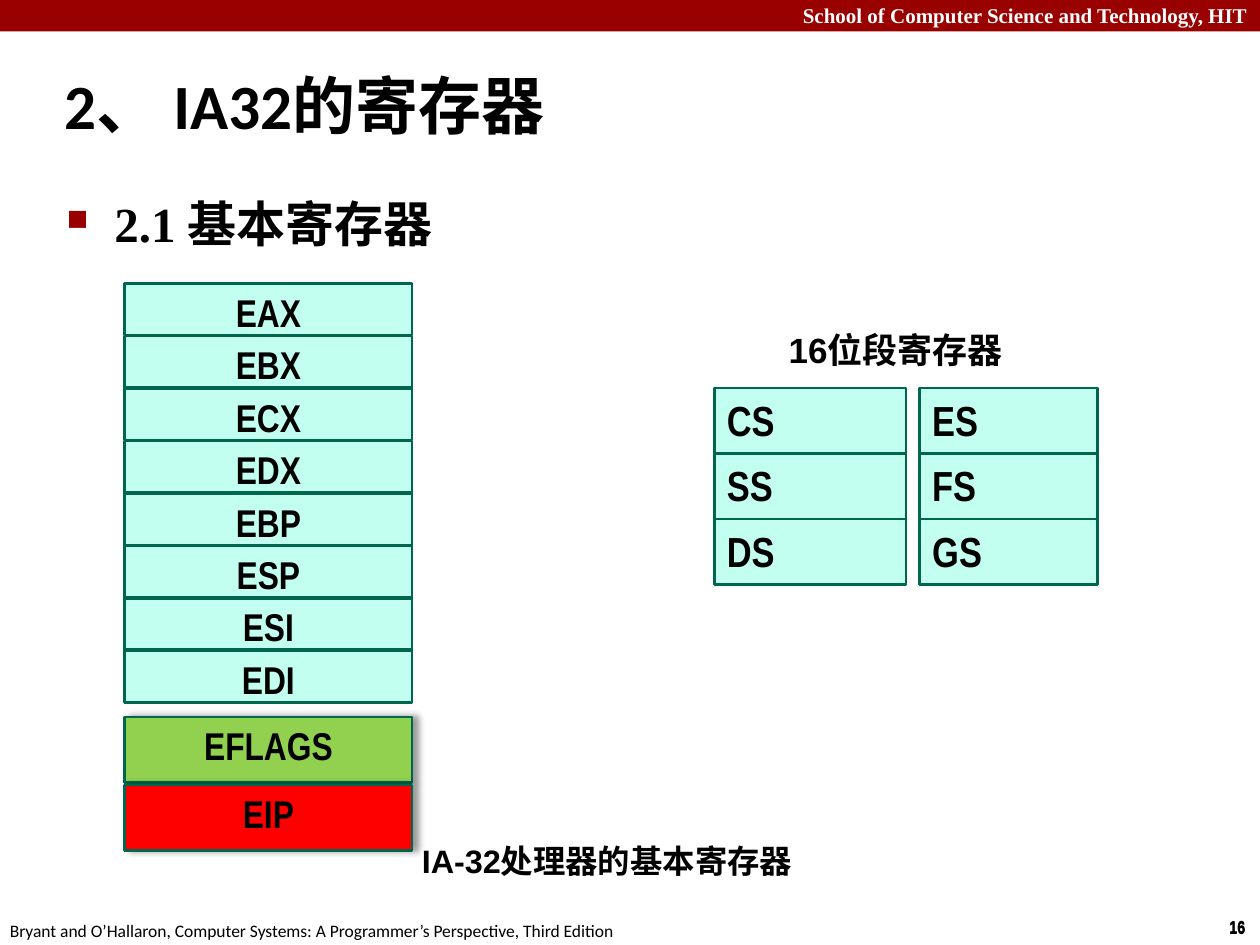
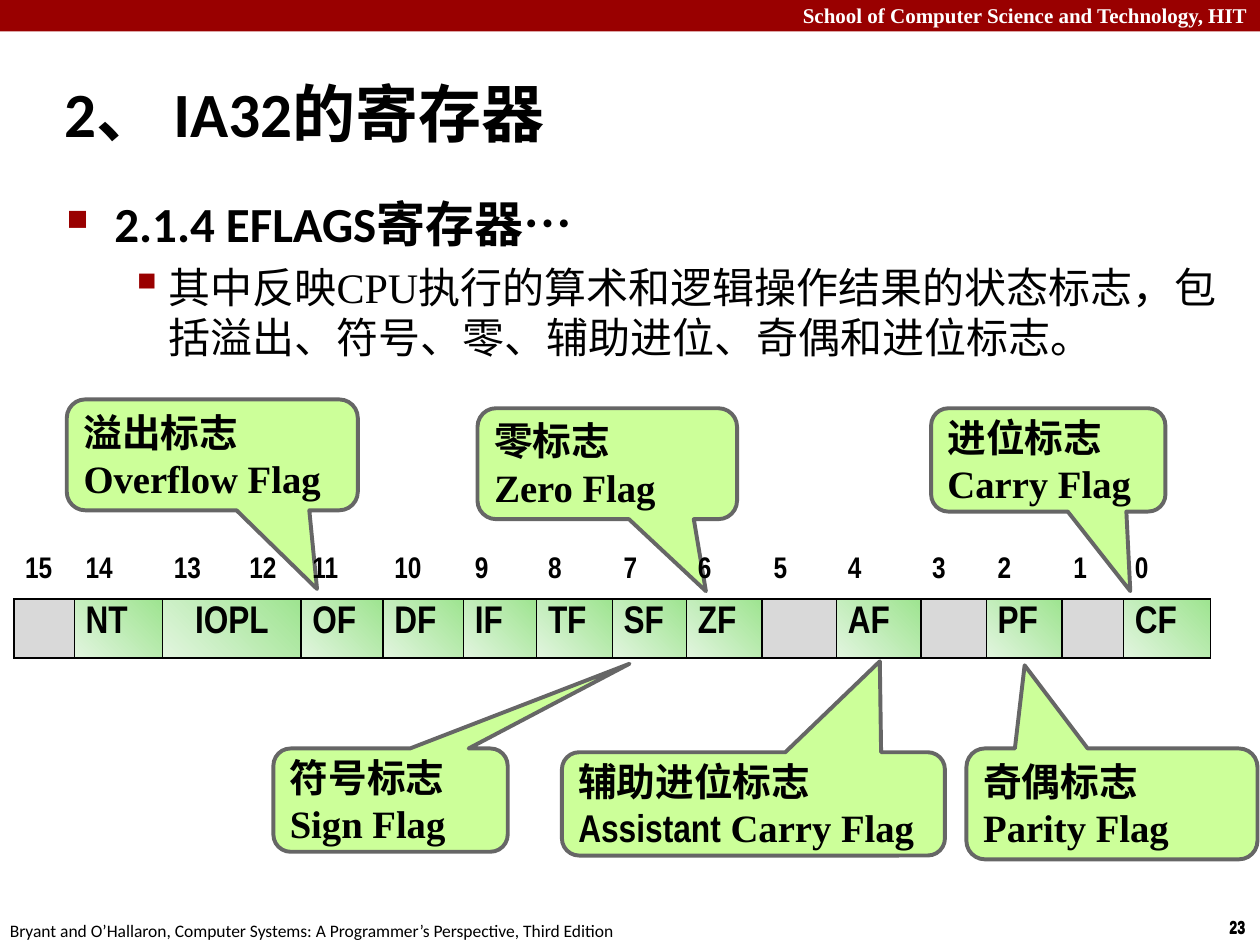
"""Build two slides on the IA32 registers and the EFLAGS bits."""
from lxml.etree import SubElement as Sub
from pptx import Presentation
from pptx.dml.color import RGBColor
from pptx.enum.shapes import MSO_SHAPE as Kind
from pptx.enum.text import MSO_ANCHOR as Anchor, MSO_AUTO_SIZE as Auto, PP_ALIGN as Align
from pptx.oxml.ns import qn
from pptx.util import Inches, Pt

RED = RGBColor(0x99, 0x00, 0x00)
BLACK = RGBColor(0x00, 0x00, 0x00)
WHITE = RGBColor(0xFF, 0xFF, 0xFF)
MINT = RGBColor(0xC2, 0xFF, 0xF0)
TEAL = RGBColor(0x00, 0x66, 0x4D)
GREEN = RGBColor(0x92, 0xD0, 0x50)
BRIGHT = RGBColor(0xFF, 0x00, 0x00)
LIME = RGBColor(0xCC, 0xFF, 0x99)
GREY = RGBColor(0x66, 0x66, 0x66)
PALE = RGBColor(0xD9, 0xD9, 0xD9)
LEAF = RGBColor(0x9E, 0xE4, 0x90)
MIST = RGBColor(0xE2, 0xF5, 0xDF)
SERIF, SANS, NARROW, PLAIN = "Times New Roman", "Calibri", "Arial Narrow", "Arial"


def write(para, text, size, name, bold=True, color=BLACK, align=Align.LEFT):
    """Add one run of formatted text to a paragraph."""
    para.alignment = align
    run = para.add_run()
    run.text = text
    for key, value in {"size": Pt(size), "name": name, "bold": bold}.items():
        setattr(run.font, key, value)
    run.font.color.rgb = color


def put(slide, at, kind=None, fill=None, line=None, width=1.5, pad=(0.1, 0.05), anchor=Anchor.TOP):
    """Add a text box, or a filled shape when a kind is given."""
    spot = [Inches(n) for n in at]
    if kind is None:
        shape = slide.shapes.add_textbox(*spot)
    else:
        shape = slide.shapes.add_shape(kind, *spot)
        shape.shadow.inherit = False
        shape.fill.solid()
        shape.fill.fore_color.rgb = fill
        if line is None:
            shape.line.fill.background()
        else:
            shape.line.color.rgb = line
            shape.line.width = Pt(width)
    side, top = (Inches(n) for n in pad)
    look = {"word_wrap": True, "vertical_anchor": anchor, "margin_left": side,
            "margin_right": side, "margin_top": top, "margin_bottom": top}
    for key, value in look.items():
        setattr(shape.text_frame, key, value)
    return shape


deck = Presentation()
deck.slide_width, deck.slide_height = Inches(10), Inches(7.5)

pages = [
    ("16", Anchor.MIDDLE, [("2.1 基本寄存器", 28, SERIF, True)]),
    ("23", Anchor.BOTTOM, [
        ("2.1.4 EFLAGS寄存器…", 28, SANS, True),
        ("其中反映CPU执行的算术和逻辑操作结果的状态标志，"
         "包括溢出、符号、零、辅助进位、奇偶和进位标志。", 24, SERIF, False)]),
]
bullets = [(0.38, -0.38, "■", 60), (0.81, -0.31, "▪", 110)]

for number, anchor, points in pages:
    slide = deck.slides.add_slide(deck.slide_layouts[5])
    put(slide, (0, 0, 10, 0.25), Kind.RECTANGLE, RED)
    school = put(slide, (0, -0.03, 10, 0.3))
    write(school.text_frame.paragraphs[0], "School of Computer Science and Technology, HIT",
          12, SERIF, color=WHITE, align=Align.RIGHT)
    for top in (7.23, 7.22):
        mark = put(slide, (9.66, top, 0.34, 0.27))
        write(mark.text_frame.paragraphs[0], number, 10, NARROW)
    book = put(slide, (-0.02, 7.25, 5.08, 0.27))
    write(book.text_frame.paragraphs[0],
          "Bryant and O’Hallaron, Computer Systems: A Programmer’s Perspective, Third Edition",
          10, SANS, bold=False)

    title = slide.shapes.title
    title.left, title.top, title.width, title.height = map(Inches, (0.41, 0.41, 9.58, 0.83))
    title.text_frame.auto_size = Auto.NONE
    title.text_frame.vertical_anchor = anchor
    write(title.text_frame.paragraphs[0], "2、 IA32的寄存器", 36, SANS)

    body = put(slide, (0.43, 1.49, 9.4, 5.76)).text_frame
    for level, (text, size, name, bold) in enumerate(points):
        para = body.add_paragraph() if level else body.paragraphs[0]
        para.level = level
        para.space_before = Pt(size * 0.2)
        write(para, text, size, name, bold)
        left, hang, sign, scale = bullets[level]
        props = para._p.get_or_add_pPr()
        props.set("marL", str(Inches(left)))
        props.set("indent", str(Inches(hang)))
        Sub(Sub(props, qn("a:buClr")), qn("a:srgbClr"), val=str(RED))
        Sub(props, qn("a:buSzPct"), val=str(scale * 1000))
        Sub(props, qn("a:buChar"), char=sign)

basic, flags = deck.slides

for row, (name, fill) in enumerate([("EFLAGS", GREEN), ("EIP", BRIGHT)]):
    box = put(basic, (0.99, 5.69 + row * 0.54, 2.28, 0.52), Kind.RECTANGLE, fill, TEAL,
              pad=(0.09, 0.04))
    write(box.text_frame.paragraphs[0], name, 22.1, NARROW, align=Align.CENTER)
    glow = Sub(box._element.spPr.find(qn("a:effectLst")), qn("a:outerShdw"),
               blurRad=str(Pt(4)), dist=str(Pt(3)), dir="0", algn="l", rotWithShape="0")
    Sub(Sub(glow, qn("a:srgbClr"), val=str(BLACK)), qn("a:alpha"), val="40000")

for row, name in enumerate("EAX EBX ECX EDX EBP ESP ESI EDI".split()):
    box = put(basic, (0.99, 2.25 + row * 3.33 / 8, 2.28, 0.41), Kind.RECTANGLE, MINT, TEAL,
              pad=(0.09, 0.04))
    write(box.text_frame.paragraphs[0], name, 22.1, NARROW, align=Align.CENTER)

for left, width, names in [(5.67, 1.52, "CS SS DS"), (7.3, 1.41, "ES FS GS")]:
    for row, name in enumerate(names.split()):
        box = put(basic, (left, 3.08 + row * 0.52, width, 0.52), Kind.RECTANGLE, MINT, TEAL)
        write(box.text_frame.paragraphs[0], name, 24, NARROW)

for at, text, size in [((3.25, 6.63, 4.09, 0.41), "IA-32处理器的基本寄存器", 18.5),
                       ((6.16, 2.56, 2.28, 0.44), "16位段寄存器", 20)]:
    write(put(basic, at).text_frame.paragraphs[0], text, size, PLAIN)

calls = [
    ((7.39, 3.24, 1.86, 0.82), (0.35, 1.27), "进位标志", "", "Carry Flag"),
    ((2.17, 5.94, 1.86, 0.82), (1.02, -1.32), "符号标志", "", "Sign Flag"),
    ((4.46, 5.97, 3.04, 0.82), (0.33, -1.38), "辅助进位标志", "Assistant", " Carry Flag"),
    ((0.53, 3.17, 2.31, 0.88), (0.36, 1.21), "溢出标志", "", "Overflow Flag"),
    ((3.79, 3.24, 2.06, 0.88), (0.38, 1.15), "零标志", "", "Zero Flag"),
    ((7.67, 5.94, 2.31, 0.88), (-0.3, -1.25), "奇偶标志", "", "Parity Flag"),
]
for at, tip, label, lead, term in calls:
    call = put(flags, at, Kind.ROUNDED_RECTANGULAR_CALLOUT, LIME, GREY, 2.25, (0.09, 0.04),
               Anchor.MIDDLE)
    call.adjustments[0], call.adjustments[1] = tip
    write(call.text_frame.paragraphs[0], label, 22.1, NARROW)
    para = call.text_frame.add_paragraph()
    if lead:
        write(para, lead, 22.1, NARROW)
    write(para, term, 22.1, SERIF)

widths = [0.48, 0.7, 0.6, 0.5, 0.65, 0.64, 0.58, 0.6, 0.59, 0.6, 0.59, 0.67, 0.52, 0.6, 0.49, 0.69]
names = ["", "NT", "IOPL", "", "OF", "DF", "IF", "TF", "SF", "ZF", "", "AF", "", "PF", "", "CF"]
frame = flags.shapes.add_table(2, 16, *map(Inches, (0.11, 4.37, 9.5, 0.84)))
frame._element.xpath(".//a:tableStyleId")[0].text = "{2D5ABB26-0587-4C30-8999-92F81FD0307C}"
bits = frame.table
bits.first_row = bits.horz_banding = False
bits.rows[0].height, bits.rows[1].height = Inches(0.37), Inches(0.46)
bits.cell(1, 2).merge(bits.cell(1, 3))

for col, (width, name) in enumerate(zip(widths, names)):
    bits.columns[col].width = Inches(width)
    head, cell = bits.cell(0, col), bits.cell(1, col)
    head.fill.background()
    write(head.text_frame.paragraphs[0], str(15 - col), 17, NARROW)
    for item in (head, cell):
        item.margin_left = item.margin_right = Inches(0.09)
    props = cell._tc.get_or_add_tcPr()
    for side in ("lnL", "lnR", "lnT", "lnB"):
        edge = Sub(props, qn("a:" + side), w=str(Pt(1)))
        Sub(Sub(edge, qn("a:solidFill")), qn("a:srgbClr"), val=str(BLACK))
    if name:
        cell.fill.gradient()
        cell.fill.gradient_angle = 225
        for stop, tone in zip(cell.fill.gradient_stops, (LEAF, MIST)):
            stop.color.rgb = tone
        if name == "IOPL":
            cell.margin_left = cell.margin_right = 0
        write(cell.text_frame.paragraphs[0], name, 22, NARROW,
              align=Align.CENTER if name == "IOPL" else Align.LEFT)
    elif not cell.is_spanned:
        cell.fill.solid()
        cell.fill.fore_color.rgb = PALE

deck.save("out.pptx")
